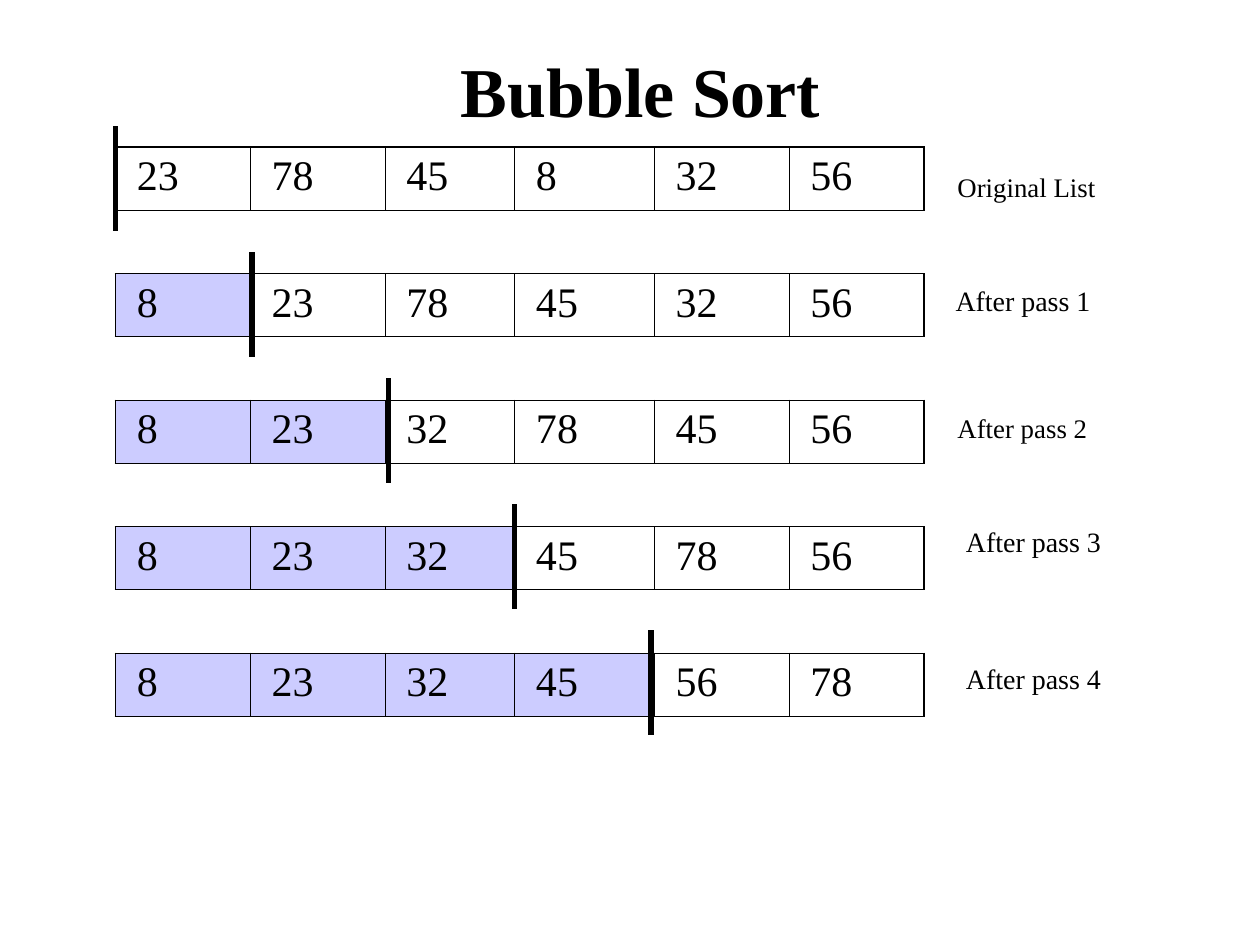
import lxml.etree
import pptx
import pptx.dml.color
import pptx.enum.shapes
import pptx.enum.text
import pptx.oxml.ns
import pptx.util

COLORS = {"ink": "000000", "sorted": "CCCCFF"}
FONT = "Times New Roman"
UNIT = pptx.util.Inches(1) / 12
THIN, THICK = 0.45, 1.08
NO_GRID_STYLE = "{2D5ABB26-0587-4C30-8999-92F81FD0307C}"
COLUMN_SHARES = [1.07, 1.07, 1.03, 1.11, 1.07, 1.07]
PASSES = [
    [23, 78, 45, 8, 32, 56],
    [8, 23, 78, 45, 32, 56],
    [8, 23, 32, 78, 45, 56],
    [8, 23, 32, 45, 78, 56],
    [8, 23, 32, 45, 56, 78],
]
LABELS = [
    ("Original List", 90, 16, True),
    ("After pass 1", 91, 27, False),
    ("After pass 2", 90, 39, True),
    ("After pass 3", 92, 50, False),
    ("After pass 4", 92, 63, False),
]
WALL_COLUMNS = [11, 24, 37, 49, 62]


def grid(*lengths):
    """Turn grid steps of a twelfth of an inch into slide lengths."""
    return [round(length * UNIT) for length in lengths]


def rgb(name):
    """Look up a colour by name."""
    return pptx.dml.color.RGBColor.from_string(COLORS[name])


def style_font(paragraph, size, bold=False):
    """Set the font of a whole paragraph."""
    paragraph.font.name = FONT
    paragraph.font.size = pptx.util.Pt(size)
    paragraph.font.bold = bold
    paragraph.font.color.rgb = rgb("ink")


def add_text(slide, box, text, size, inset=(0, 0), bold=False):
    """Add a one-paragraph text box and return its shape."""
    shape = slide.shapes.add_textbox(*grid(*box))
    frame = shape.text_frame
    frame.word_wrap = True
    frame.margin_left = frame.margin_right = pptx.util.Inches(inset[0])
    frame.margin_top = frame.margin_bottom = pptx.util.Inches(inset[1])
    frame.text = text
    style_font(frame.paragraphs[0], size, bold)
    return shape


def add_title(slide, box):
    """Add the centred heading."""
    frame = add_text(slide, box, "Bubble Sort", 40, bold=True).text_frame
    frame.vertical_anchor = pptx.enum.text.MSO_ANCHOR.MIDDLE
    frame.paragraphs[0].alignment = pptx.enum.text.PP_ALIGN.CENTER


def set_borders(cell, widths):
    """Draw the given sides of a cell, a dict of side letter to points."""
    properties = cell._tc.get_or_add_tcPr()
    qualified = pptx.oxml.ns.qn
    for side in "LRTB":
        if side in widths:
            line = lxml.etree.SubElement(properties, qualified(f"a:ln{side}"), w=str(pptx.util.Pt(widths[side])))
            fill = lxml.etree.SubElement(line, qualified("a:solidFill"))
            lxml.etree.SubElement(fill, qualified("a:srgbClr"), val=COLORS["ink"])


def fill_value_cell(cell, value, pass_number, column):
    """Write one list value, shaded when it is already sorted."""
    cell.margin_left = pptx.util.Inches(0.17)
    cell.text = str(value)
    style_font(cell.text_frame.paragraphs[0], 24)
    last = len(COLUMN_SHARES) - 1
    set_borders(cell, {
        "L": THICK if column == 0 else THIN,
        "R": THICK if column == last else THIN,
        "T": THICK if pass_number == 0 else THIN,
        "B": THIN,
    })
    if column < pass_number:
        cell.fill.solid()
        cell.fill.fore_color.rgb = rgb("sorted")
    else:
        cell.fill.background()


def add_pass_table(slide, box):
    """Add the table with a list row and a gap row for each pass."""
    left, top, width, height = grid(*box)
    row_count = 2 * len(PASSES)
    shape = slide.shapes.add_table(row_count, len(COLUMN_SHARES), left, top, width, height)
    table = shape.table
    table.first_row = table.horz_banding = False
    for style in shape._element.iter(pptx.oxml.ns.qn("a:tableStyleId")):
        style.text = NO_GRID_STYLE
    for column, share in zip(table.columns, COLUMN_SHARES):
        column.width = round(width * share / sum(COLUMN_SHARES))
    for row in table.rows:
        row.height = round(height / row_count)
    for pass_number, values in enumerate(PASSES):
        row = 2 * pass_number
        gap_sides = {"T": THIN} if row + 2 == row_count else {"T": THIN, "B": THIN}
        for column, value in enumerate(values):
            fill_value_cell(table.cell(row, column), value, pass_number, column)
            gap = table.cell(row + 1, column)
            set_borders(gap, gap_sides)
            gap.fill.background()


def add_labels(slide, size):
    """Add the pass names beside the table."""
    for text, left, top, padded in LABELS:
        inset = (0.1, 0.05) if padded else (0, 0)
        shape = add_text(slide, (left, top, *size), text, 15.3 if padded else 16, inset)
        if padded:
            shape.text_frame.paragraphs[0].line_spacing = 0.9


def add_walls(slide, top, pitch, height):
    """Add the bars between the sorted and unsorted parts."""
    for index, column in enumerate(WALL_COLUMNS):
        start = top + index * pitch
        wall = slide.shapes.add_connector(
            pptx.enum.shapes.MSO_CONNECTOR.STRAIGHT, *grid(column, start, column, start + height))
        wall.line.color.rgb = rgb("ink")
        wall.line.width = pptx.util.Pt(3)
        lxml.etree.SubElement(wall._element.spPr, pptx.oxml.ns.qn("a:effectLst"))


def main():
    """Build and save the slide."""
    presentation = pptx.Presentation()
    presentation.slide_width, presentation.slide_height = grid(120, 90)
    slide = presentation.slides.add_slide(presentation.slide_layouts[6])
    add_title(slide, (10, 5, 102, 7))
    add_pass_table(slide, (11, 14, 77, 60.25))
    add_labels(slide, (22.5, 4.5))
    add_walls(slide, top=12, pitch=12, height=10)
    presentation.save("out.pptx")


if __name__ == "__main__":
    main()
